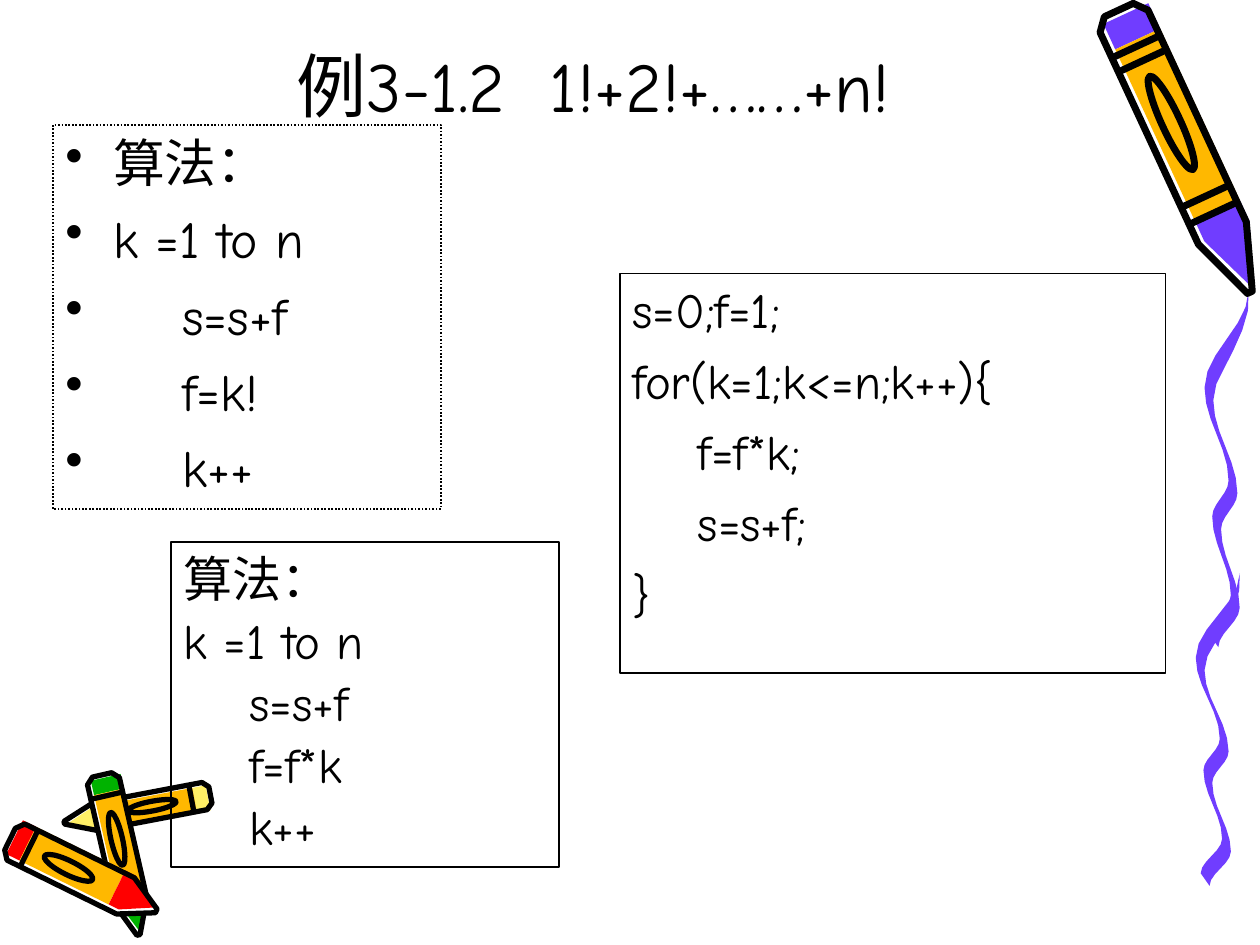
from math import atan2, cos, degrees, hypot, pi

from lxml import etree
from pptx import Presentation
from pptx.dml.color import RGBColor
from pptx.enum.dml import MSO_LINE
from pptx.enum.shapes import MSO_CONNECTOR, MSO_SHAPE
from pptx.enum.text import MSO_ANCHOR, PP_ALIGN
from pptx.oxml.ns import qn
from pptx.util import Inches, Pt

BLACK = RGBColor(0x00, 0x00, 0x00)
WHITE = RGBColor(0xFF, 0xFF, 0xFF)
PURPLE = RGBColor(0x70, 0x3D, 0xFF)
ORANGE = RGBColor(0xFF, 0xB8, 0x00)
YELLOW = RGBColor(0xFF, 0xEF, 0x66)
RED = RGBColor(0xFF, 0x00, 0x00)
GREEN = RGBColor(0x00, 0xB2, 0x00)

# Parts of a crayon, as shares of the way from its tail to its tip.
BEVEL, CAP_END, WRAPPER_END, SHOULDER = 0.04, 0.11, 0.72, 0.79
BANDS = (0.13, 0.18, 0.66, WRAPPER_END)
OVAL_CENTRE, OVAL_LENGTH, OVAL_WIDTH = 0.4, 0.33, 0.7

# Where the squiggle turns, as shares of the width and height of its box.
SQUIGGLE_TURNS = [(0.97, 0), (0, 0.27), (0.53, 0.53), (0.17, 0.63), (0.58, 0.85), (0.11, 0.96)]
STEPS_PER_TURN = 6
NIB = (0.07, 0.1)


def squiggle_edge(left, top, width, height):
    """Join the turning points by half cosine waves."""
    points = []
    for (x1, y1), (x2, y2) in zip(SQUIGGLE_TURNS, SQUIGGLE_TURNS[1:]):
        for step in range(STEPS_PER_TURN + 1):
            share = step / STEPS_PER_TURN
            swing = (1 - cos(pi * share)) / 2
            points.append((left + width * (x1 + (x2 - x1) * swing),
                           top + height * (y1 + (y2 - y1) * share)))
    return points


class SlideBuilder:
    font_name = "Comic Neue"
    text_colour = BLACK

    def __init__(self, slide):
        self.shapes = slide.shapes

    def paint(self, shape, fill=None, line=None, width=1):
        shape.shadow.inherit = False
        if fill is None:
            shape.fill.background()
        else:
            shape.fill.solid()
            shape.fill.fore_color.rgb = fill
        if line is None:
            shape.line.fill.background()
        else:
            shape.line.color.rgb = line
            shape.line.width = Pt(width)

    def polygon(self, points, **paint):
        start, *rest = [(Inches(x), Inches(y)) for x, y in points]
        builder = self.shapes.build_freeform(*start)
        builder.add_line_segments(rest, close=True)
        self.paint(builder.convert_to_shape(), **paint)

    def line(self, start, end, width):
        connector = self.shapes.add_connector(
            MSO_CONNECTOR.STRAIGHT, *[Inches(value) for value in (*start, *end)])
        connector.line.color.rgb = BLACK
        connector.line.width = Pt(width)
        etree.SubElement(connector._element.spPr, qn("a:effectLst"))

    def oval(self, centre, length, height, angle, width):
        left, top = centre[0] - length / 2, centre[1] - height / 2
        shape = self.shapes.add_shape(
            MSO_SHAPE.OVAL, Inches(left), Inches(top), Inches(length), Inches(height))
        shape.rotation = angle
        self.paint(shape, line=BLACK, width=width)

    def crayon(self, tail, tip, half_width, colour, stroke, bands):
        """Draw a crayon whose wax has the given colour, lying from tail to tip."""
        run, rise = tip[0] - tail[0], tip[1] - tail[1]
        length = hypot(run, rise)

        def place(along, across):
            """Turn a share of the length and of the half width into a slide position."""
            offset = across * half_width / length
            return tail[0] + along * run + offset * rise, tail[1] + along * rise - offset * run

        def place_all(*pairs):
            return [place(*pair) for pair in pairs]

        body = place_all((0, -0.6), (0, 0.6), (BEVEL, 1), (SHOULDER, 1), (1, 0.1),
                         (1, -0.1), (SHOULDER, -1), (BEVEL, -1))
        self.polygon(body, fill=WHITE)
        # The colours sit a little to one side, as in a loose print.
        near, far = -0.75, 1.12
        self.polygon(place_all((0.02, near), (0.02, far), (CAP_END, far), (CAP_END, near)),
                     fill=colour)
        self.polygon(place_all((CAP_END, near), (CAP_END, far), (WRAPPER_END, far),
                               (WRAPPER_END, near)), fill=ORANGE)
        self.polygon(place_all((WRAPPER_END, near), (WRAPPER_END, far), (SHOULDER, far),
                               (1, 0.2), (SHOULDER, near)), fill=colour)
        self.polygon(body, line=BLACK, width=stroke)
        for band in bands:
            self.line(place(band, -1), place(band, 1), stroke)
        self.oval(place(OVAL_CENTRE, 0), OVAL_LENGTH * length, OVAL_WIDTH * half_width,
                  degrees(atan2(rise, run)), stroke)

    def squiggle(self, left, top, width, height):
        """Draw a wavy stroke that widens from a point to the size of the nib."""
        edge = squiggle_edge(left, top, width, height)
        widths = [min(1, 6 * (y - top) / height) for _, y in edge]
        other_edge = [(x + NIB[0] * share, y + NIB[1] * share)
                      for (x, y), share in zip(edge, widths)]
        self.polygon(edge + other_edge[::-1], fill=PURPLE)

    def style(self, run, size):
        run.font.name = self.font_name
        run.font.size = Pt(size)
        run.font.color.rgb = self.text_colour

    def title(self, left, top, width, height, number, formula, size):
        """Put the example number and its formula on one line, with a wide space between."""
        shape = self.shapes.add_textbox(Inches(left), Inches(top), Inches(width), Inches(height))
        frame = shape.text_frame
        frame.word_wrap = True
        frame.vertical_anchor = MSO_ANCHOR.MIDDLE
        paragraph = frame.paragraphs[0]
        paragraph.alignment = PP_ALIGN.CENTER
        paragraph.line_spacing = 1.2
        for text in (number, " ", formula):
            run = paragraph.add_run()
            run.text = text
            self.style(run, size)
        paragraph.runs[1].font._element.set("spc", "1200")

    def code_box(self, left, top, width, height, lines, size, gap, bullets=False):
        shape = self.shapes.add_shape(
            MSO_SHAPE.RECTANGLE, Inches(left), Inches(top), Inches(width), Inches(height))
        self.paint(shape, line=BLACK)
        if bullets:
            shape.line.dash_style = MSO_LINE.ROUND_DOT
        frame = shape.text_frame
        frame.word_wrap = True
        frame.vertical_anchor = MSO_ANCHOR.TOP
        frame.text = "\n".join(lines)
        for index, paragraph in enumerate(frame.paragraphs):
            paragraph.alignment = PP_ALIGN.LEFT if bullets else PP_ALIGN.JUSTIFY
            paragraph.space_before = Pt(gap if index else 0)
            properties = paragraph._p.get_or_add_pPr()
            properties.set("marL", str(Inches(0.38)))
            properties.set("indent", str(Inches(-0.38)))
            if bullets:
                etree.SubElement(properties, qn("a:buChar"), char="•")
            self.style(paragraph.runs[0], size)


def main():
    presentation = Presentation()
    presentation.slide_width = Inches(10)
    presentation.slide_height = Inches(7.5)
    builder = SlideBuilder(presentation.slides.add_slide(presentation.slide_layouts[6]))

    cap_band = BANDS[:1]
    builder.crayon((1.67, 6.31), (0.51, 6.53), 0.11, YELLOW, 3, cap_band)
    builder.crayon((0.81, 6.15), (1.1, 7.42), 0.13, GREEN, 3, cap_band)
    builder.crayon((0.08, 6.66), (1.24, 7.23), 0.16, RED, 3, cap_band)
    builder.squiggle(9.49, 4.55, 0.36, 2.48)
    builder.squiggle(9.56, 2.31, 0.36, 2.84)
    builder.crayon((8.88, 0.08), (9.92, 2.32), 0.21, PURPLE, 4, BANDS)

    builder.title(0.5, 0, 8.42, 1.21, "例3-1.2", "1!+2!+……+n!", 40)
    heading = ["算法：", "k =1 to n", "    s=s+f"]
    builder.code_box(0.42, 0.99, 3.08, 3.05, heading + ["    f=k!", "    k++"], 29.6, 8, bullets=True)
    program = ["s=0;f=1;", "for(k=1;k<=n;k++){", "    f=f*k;", "    s=s+f;", "}"]
    builder.code_box(4.92, 2.17, 4.33, 3.17, program, 28, 7)
    builder.code_box(1.36, 4.3, 3.08, 2.58, heading + ["    f=f*k", "    k++"], 28, 1.8)

    presentation.save("out.pptx")


if __name__ == "__main__":
    main()
